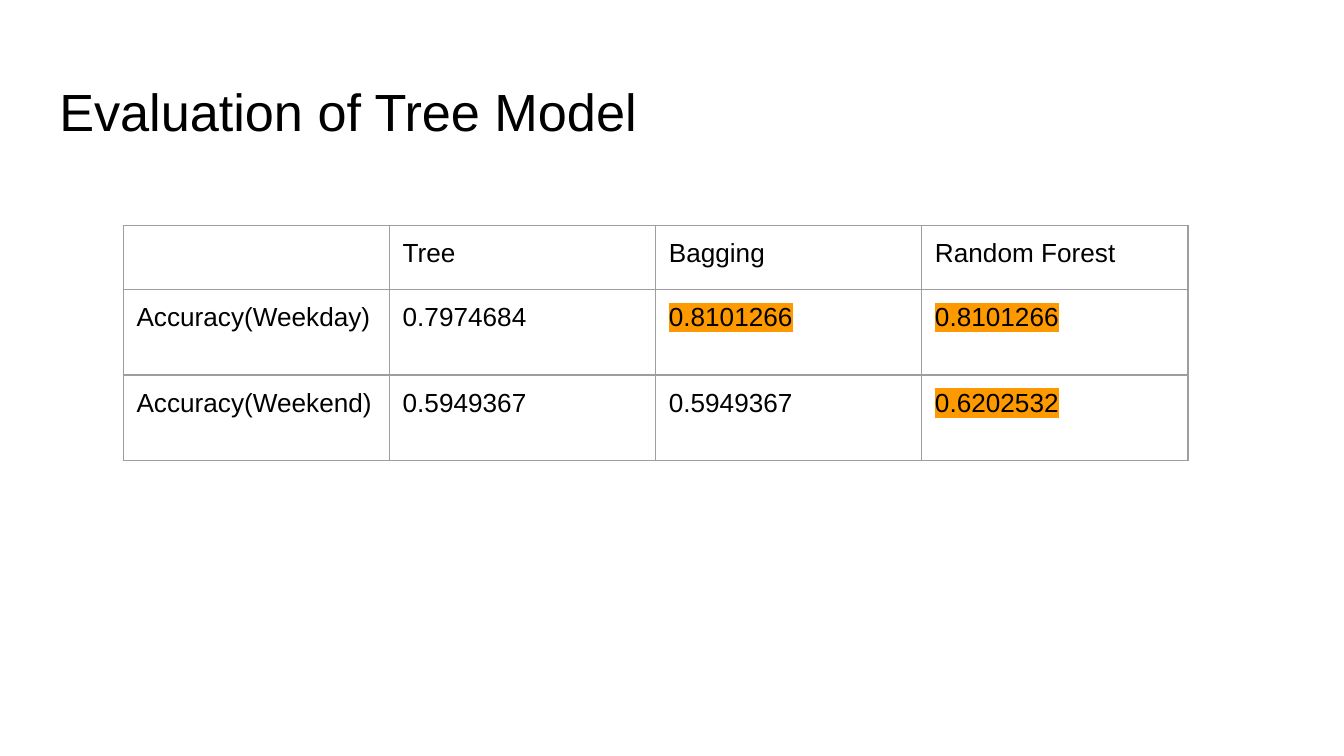
"""Build the slide that compares the accuracy of three tree models."""
import pptx
import pptx.dml.color
import pptx.enum.text
import pptx.oxml
import pptx.oxml.ns
import pptx.util

Cm = pptx.util.Cm
Pt = pptx.util.Pt
RGB = pptx.dml.color.RGBColor

BLACK = RGB(0x00, 0x00, 0x00)
GREY = RGB(0x9E, 0x9E, 0x9E)
ORANGE = RGB(0xFF, 0x99, 0x00)

FONT = "Arial"
INSET = Cm(0.25)
WIDTH = Cm(5.03)
HEIGHTS = [Cm(1.21), Cm(1.62), Cm(1.62)]
ROWS = [
    ["", "Tree", "Bagging", "Random Forest"],
    ["Accuracy(Weekday)", "0.7974684", "0.8101266", "0.8101266"],
    ["Accuracy(Weekend)", "0.5949367", "0.5949367", "0.6202532"],
]
BEST = {(1, 2), (1, 3), (2, 3)}


def add_run(frame, text, size):
    """Add one styled run to the first paragraph and return it."""
    para = frame.paragraphs[0]
    para.alignment = pptx.enum.text.PP_ALIGN.LEFT
    run = para.add_run()
    run.text = text
    run.font.name = FONT
    run.font.size = Pt(size)
    run.font.bold = False
    run.font.color.rgb = BLACK
    return run


def mark(run, color):
    """Highlight a run."""
    space = pptx.oxml.ns.nsdecls("a")
    xml = f'<a:highlight {space}><a:srgbClr val="{color}"/></a:highlight>'
    fill = run.font._element.find(pptx.oxml.ns.qn("a:solidFill"))
    fill.addnext(pptx.oxml.parse_xml(xml))


def set_edges(cell, color, width):
    """Draw a thin line on each side of a cell."""
    space = pptx.oxml.ns.nsdecls("a")
    props = cell._tc.get_or_add_tcPr()
    for spot, side in enumerate("LRTB"):
        xml = (f'<a:ln{side} {space} w="{width}"><a:solidFill>'
               f'<a:srgbClr val="{color}"/></a:solidFill></a:ln{side}>')
        props.insert(spot, pptx.oxml.parse_xml(xml))


def set_pad(box):
    """Give a cell or text frame equal insets."""
    box.margin_left = box.margin_right = INSET
    box.margin_top = box.margin_bottom = INSET


def add_title(slide, text):
    """Place and fill the title."""
    title = slide.shapes.title
    title.left, title.top = Cm(0.87), Cm(1.24)
    title.width, title.height = Cm(23.67), Cm(1.6)
    frame = title.text_frame
    frame.auto_size = pptx.enum.text.MSO_AUTO_SIZE.NONE
    frame.vertical_anchor = pptx.enum.text.MSO_ANCHOR.TOP
    set_pad(frame)
    add_run(frame, text, 28)


def add_grid(slide):
    """Add the accuracy table with the best scores marked."""
    count = len(ROWS[0])
    shape = slide.shapes.add_table(
        len(ROWS), count, Cm(2.33), Cm(4.26), WIDTH * count, sum(HEIGHTS))
    table = shape.table
    table.first_row = table.horz_banding = False
    for col in table.columns:
        col.width = WIDTH
    for row, height in zip(table.rows, HEIGHTS):
        row.height = height
    for i, words in enumerate(ROWS):
        for j, text in enumerate(words):
            cell = table.cell(i, j)
            cell.fill.background()
            set_edges(cell, GREY, Pt(0.75))
            if text:
                set_pad(cell)
                run = add_run(cell.text_frame, text, 14)
                if (i, j) in BEST:
                    mark(run, ORANGE)


def main():
    """Build and save the deck."""
    deck = pptx.Presentation()
    deck.slide_width, deck.slide_height = Cm(25.4), Cm(14.29)
    slide = deck.slides.add_slide(deck.slide_layouts[5])
    add_title(slide, "Evaluation of Tree Model")
    add_grid(slide)
    deck.save("out.pptx")


if __name__ == "__main__":
    main()
